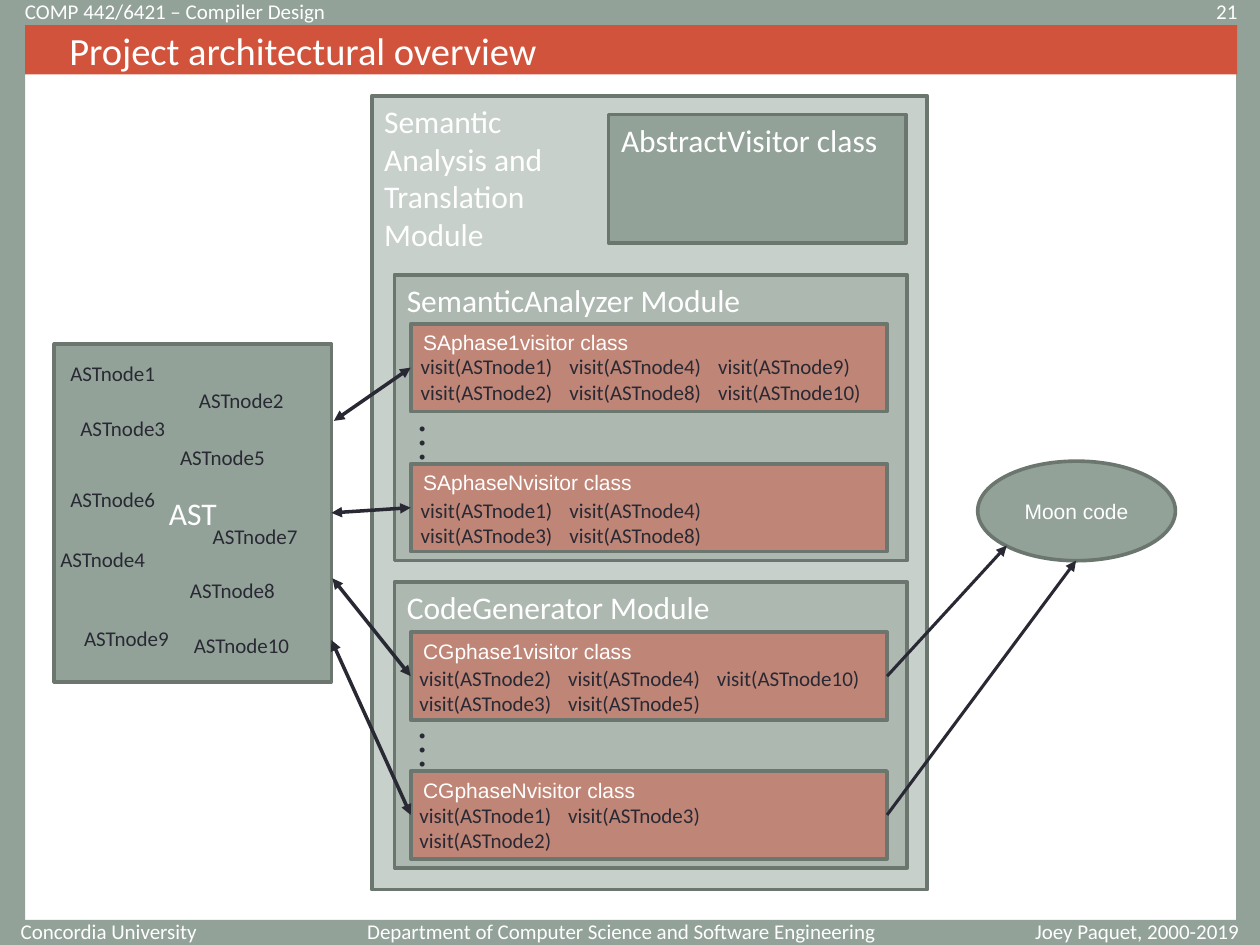
import pptx
import pptx.util
import pptx.dml.color
import pptx.enum.shapes
import pptx.enum.text
import pptx.oxml.ns
import lxml.etree

Pt = pptx.util.Pt
RGBColor = pptx.dml.color.RGBColor
Shape = pptx.enum.shapes.MSO_SHAPE
Align = pptx.enum.text.PP_ALIGN
Anchor = pptx.enum.text.MSO_ANCHOR
qn = pptx.oxml.ns.qn

SAGE = RGBColor(0x93, 0xA2, 0x99)
BORDER = RGBColor(0x6B, 0x76, 0x6F)
RED = RGBColor(0xD2, 0x53, 0x3C)
DARK = RGBColor(0x29, 0x29, 0x34)
WHITE = RGBColor(0xFF, 0xFF, 0xFF)

presentation = pptx.Presentation()
presentation.slide_width = Pt(720)
presentation.slide_height = Pt(540)
slide = presentation.slides.add_slide(presentation.slide_layouts[6])


def add_text(text, bounds=None, shape=None, size=12, font="Calibri", color=WHITE,
             align=Align.LEFT, anchor=Anchor.TOP):
    if shape is None:
        shape = slide.shapes.add_textbox(*map(Pt, bounds))
    frame = shape.text_frame
    frame.word_wrap = True
    frame.vertical_anchor = anchor
    frame.text = text
    for paragraph in frame.paragraphs:
        paragraph.alignment = align
        for run in paragraph.runs:
            run.font.size = Pt(size)
            run.font.name = font
            run.font.color.rgb = color
    return shape


def add_box(bounds, fill=SAGE, kind=Shape.RECTANGLE, border=True, opacity=100):
    shape = slide.shapes.add_shape(kind, *map(Pt, bounds))
    shape.shadow.inherit = False
    shape.fill.solid()
    shape.fill.fore_color.rgb = fill
    if opacity < 100:
        color = shape.element.spPr.find(".//" + qn("a:srgbClr"))
        lxml.etree.SubElement(color, qn("a:alpha"), val=str(opacity * 1000))
    if border:
        shape.line.color.rgb = BORDER
        shape.line.width = Pt(2.07)
    else:
        shape.line.fill.background()
    return shape


for bounds in [(0, 0, 720, 14.4), (0, 525.6, 720, 14.4),
               (0, 0, 14.4, 535.7), (706.3, 13, 13.7, 527)]:
    add_box(bounds, border=False)

title = add_box((14.4, 14.4, 692.6, 28.1), RED, border=False)
add_text("Project architectural overview", shape=title, size=22, anchor=Anchor.MIDDLE)
title.text_frame.margin_left = Pt(25.2)

for text, left, top, width, align in [
    ("Concordia University ", 2.2, 527.8, 120.2, Align.RIGHT),
    ("Department of Computer Science and Software Engineering", 201.6, 527.8, 306, Align.RIGHT),
    ("Joey Paquet, 2000-2019", 575.3, 527.8, 149, Align.CENTER),
    ("21", 630, 2.2, 84.2, Align.RIGHT),
    ("COMP 442/6421 – Compiler Design", 7.2, 2.2, 403.2, Align.LEFT),
]:
    add_text(text, (left, top, width, 8.6), align=align, anchor=Anchor.MIDDLE)

ast = add_box((31, 196.6, 158.4, 193))
add_text("AST", shape=ast, size=18, align=Align.CENTER, anchor=Anchor.MIDDLE)
translation = add_box((212.4, 54.7, 317.5, 453.6), opacity=50)
add_text("Semantic\vAnalysis and \vTranslation\nModule", shape=translation, size=18)
moon = add_box((558.7, 263.5, 113, 56.9), kind=Shape.OVAL)
add_text("Moon code", shape=moon, font="Arial", align=Align.CENTER, anchor=Anchor.MIDDLE)
visitor = add_box((347.8, 65.5, 169.9, 73.4))
add_text("AbstractVisitor class", shape=visitor, size=18)

modules = [
    ("SemanticAnalyzer Module", 157, 234, 233.3, [
        ("SAphase1visitor class", 185, 198.7, [(1, 2), (4, 8), (9, 10)]),
        ("SAphaseNvisitor class", 265, 280.8, [(1, 3), (4, 8)])]),
    ("CodeGenerator Module", 332.6, 409.7, 232.6, [
        ("CGphase1visitor class", 361.3, 376.6, [(2, 3), (4, 5), (10,)]),
        ("CGphaseNvisitor class", 440.6, 454.9, [(1, 2), (3,)])]),
]
phases = []
for name, top, dots_top, visits_left, classes in modules:
    module = add_box((225.4, top, 293, 163.4), opacity=50)
    add_text(name, shape=module, size=18)
    for class_name, class_top, visits_top, columns in classes:
        phase = add_box((234.7, class_top, 272.2, 50.2), RED, opacity=50)
        add_text(class_name, shape=phase, font="Arial")
        phases.append(phase)
        for column, nodes in enumerate(columns):
            for row, node in enumerate(nodes):
                add_text(f"visit(ASTnode{node})",
                         (visits_left + 85 * column, visits_top + 14.5 * row, 107, 21.6),
                         color=DARK)
    dots = add_text("…", (224.6, dots_top, 43.2, 31.7), size=24,
                    font="Times New Roman", color=DARK)
    frame = dots.text_frame
    frame.margin_left = frame.margin_right = Pt(3.6)
    frame.margin_top = frame.margin_bottom = Pt(7.2)
    dots.element.txBody.find(qn("a:bodyPr")).set("vert", "eaVert")

node_places = [(33.1, 202.3), (106.6, 217.8), (38.9, 234), (27.4, 308.9), (95.8, 250.6),
               (33.1, 274.3), (114.5, 295.9), (101.5, 326.2), (41, 354.2), (103.7, 357.8)]
for node, (left, top) in enumerate(node_places, 1):
    add_text(f"ASTnode{node}", (left, top, 78, 21.6), color=DARK)

sa_first, sa_last, cg_first, cg_last = phases
for phase, side, x, y, double in [
    (cg_first, 3, 575.3, 311.8, False),
    (cg_last, 3, 614.9, 320.4, False),
    (sa_first, 1, 190.8, 240.5, True),
    (sa_last, 1, 189.4, 293.1, True),
    (cg_last, 1, 189.4, 365.8, True),
    (cg_first, 1, 190, 330.5, True),
]:
    arrow = slide.shapes.add_connector(
        pptx.enum.shapes.MSO_CONNECTOR.STRAIGHT, Pt(x), Pt(y), Pt(x), Pt(y))
    if double:
        arrow.end_connect(phase, side)
    else:
        arrow.begin_connect(phase, side)
    if phase is sa_last:
        arrow.begin_connect(ast, 3)
    arrow.line.color.rgb = DARK
    arrow.line.width = Pt(2 if double else 1.75)
    line = arrow.element.spPr.find(qn("a:ln"))
    if double:
        lxml.etree.SubElement(line, qn("a:headEnd"), type="triangle")
    lxml.etree.SubElement(line, qn("a:tailEnd"), type="triangle")
    lxml.etree.SubElement(arrow.element.spPr, qn("a:effectLst"))

presentation.save("out.pptx")
